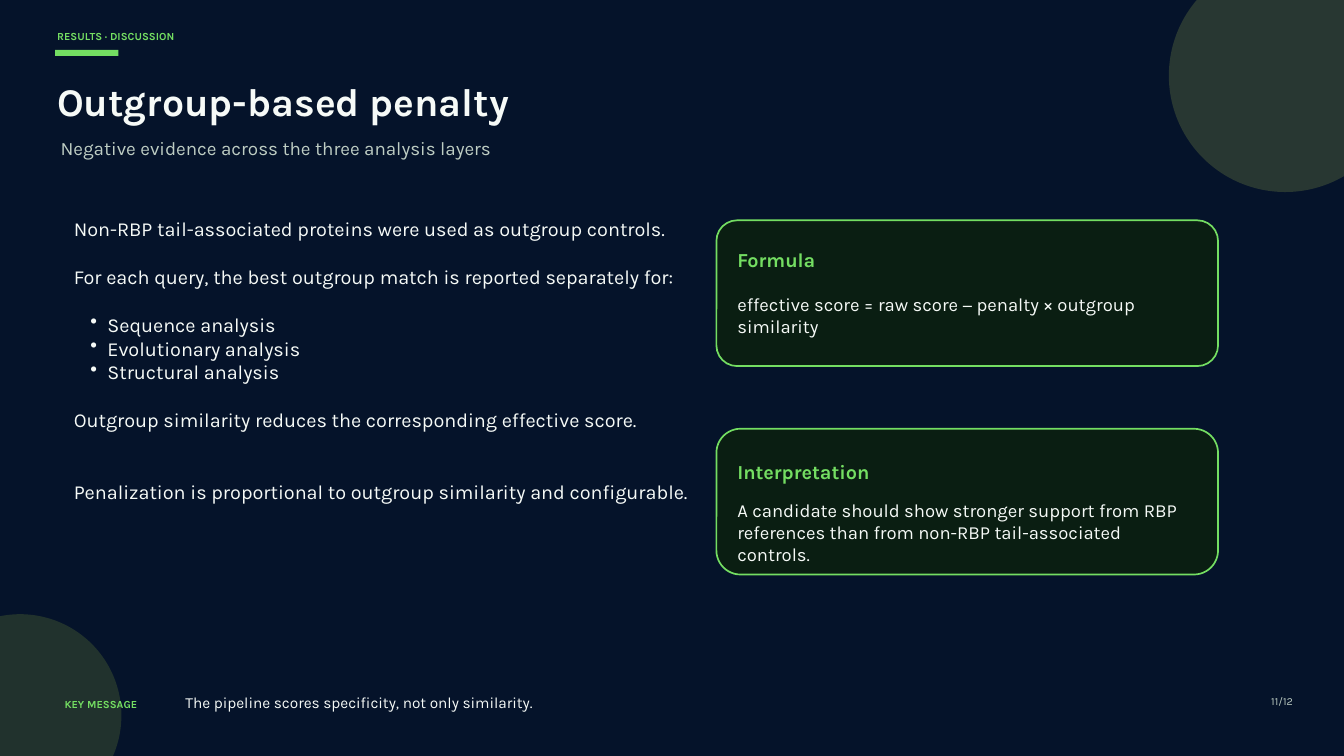
from dataclasses import dataclass

from lxml import etree
from pptx import Presentation
from pptx import util as u
from pptx.dml.color import RGBColor
from pptx.enum import shapes, text
from pptx.oxml.ns import qn


@dataclass(frozen=True)
class Theme:
    font: str = "Karla"
    background: str = "05132A"
    accent: str = "74DE62"
    light: str = "F6FAF7"
    muted: str = "BECDC3"
    card: str = "0A1E12"
    circle_top: str = "283732"
    circle_bottom: str = "21322D"
    title: float = 42
    body: float = 21.3
    subtitle: float = 20.2
    card_body: float = 19.8
    message: float = 16.5
    label: float = 11.6
    leading: float = 1.2  # line pitch as a multiple of the type size


THEME = Theme()


@dataclass(frozen=True)
class Box:
    """Position and size in centimetres."""
    x: float
    y: float
    w: float
    h: float

    def emu(self) -> tuple:
        return tuple(u.Cm(v) for v in (self.x, self.y, self.w, self.h))


@dataclass(frozen=True)
class Line:
    text: str
    gap: int = 0  # empty lines above
    bullet: bool = False


@dataclass(frozen=True)
class Label:
    box: Box
    lines: tuple
    size: float
    color: str = THEME.light
    bold: bool = False
    align: text.PP_ALIGN = text.PP_ALIGN.LEFT


@dataclass(frozen=True)
class Card:
    y: float
    radius: float
    heading: str
    heading_y: float
    body: str
    body_y: float


def add_panel(slide, kind, box: Box, fill: str, outline: str = ""):
    sp = slide.shapes.add_shape(kind, *box.emu())
    sp.shadow.inherit = False
    sp.fill.solid()
    sp.fill.fore_color.rgb = RGBColor.from_string(fill)
    if outline:
        sp.line.color.rgb = RGBColor.from_string(outline)
        sp.line.width = u.Pt(1.8)
    else:
        sp.line.fill.background()
    return sp


def add_bullet(p) -> None:
    p.level = 1
    pPr = p._p.get_or_add_pPr()
    pPr.set("marL", str(u.Cm(1.27)))
    pPr.set("indent", str(-u.Cm(0.64)))
    etree.SubElement(pPr, qn("a:buChar")).set("char", "•")


def add_label(slide, label: Label) -> None:
    tf = slide.shapes.add_textbox(*label.box.emu()).text_frame
    tf.word_wrap = True
    tf.margin_left = tf.margin_right = tf.margin_top = tf.margin_bottom = 0
    pitch = label.size * THEME.leading
    for i, line in enumerate(label.lines):
        p = tf.add_paragraph() if i else tf.paragraphs[0]
        p.text = line.text
        if line.bullet:
            add_bullet(p)
        p.alignment = label.align
        p.line_spacing = u.Pt(pitch)
        if line.gap:
            p.space_before = u.Pt(pitch * line.gap)
        font = p.runs[0].font
        font.name = THEME.font
        font.size = u.Pt(label.size)
        font.bold = label.bold
        font.color.rgb = RGBColor.from_string(label.color)


def add_card(slide, card: Card) -> None:
    box = Box(27.08, card.y, 18.96, 5.51)
    sp = add_panel(slide, shapes.MSO_SHAPE.ROUNDED_RECTANGLE, box, THEME.card, THEME.accent)
    sp.adjustments[0] = card.radius / box.h
    add_label(slide, Label(Box(27.87, card.heading_y, 17.4, 0.9), (Line(card.heading),),
                           THEME.body, THEME.accent, True))
    add_label(slide, Label(Box(27.87, card.body_y, 17.4, 1.65), (Line(card.body),),
                           THEME.card_body))


BODY = (
    Line("Non-RBP tail-associated proteins were used as outgroup controls."),
    Line("For each query, the best outgroup match is reported separately for:", 1),
    Line("Sequence analysis", 1, True),
    Line("Evolutionary analysis", 0, True),
    Line("Structural analysis", 0, True),
    Line("Outgroup similarity reduces the corresponding effective score.", 1),
    Line("Penalization is proportional to outgroup similarity and configurable.", 2),
)

LABELS = (
    # Header
    Label(Box(2.16, 1.12, 17, 0.66), (Line("RESULTS · DISCUSSION"),),
          THEME.label, THEME.accent, True),
    Label(Box(2.16, 2.92, 41, 2.11), (Line("Outgroup-based penalty"),), THEME.title, bold=True),
    Label(Box(2.29, 5.16, 42.5, 1.7),
          (Line("Negative evidence across the three analysis layers"),),
          THEME.subtitle, THEME.muted),
    # Body
    Label(Box(2.79, 8.2, 24.03, 11.68), BODY, THEME.body),
    # Footer
    Label(Box(2.44, 26.39, 5.38, 0.61), (Line("KEY MESSAGE"),),
          THEME.label, THEME.accent, True),
    Label(Box(7.01, 26.19, 38, 1.04),
          (Line("The pipeline scores specificity, not only similarity."),), THEME.message),
    Label(Box(46.36, 26.26, 2.51, 0.58), (Line("11/12"),),
          THEME.label, THEME.muted, align=text.PP_ALIGN.RIGHT),
)

CARDS = (
    Card(8.33, 0.78, "Formula", 9.35,
         "effective score = raw score − penalty × outgroup similarity", 11.07),
    Card(16.21, 0.91, "Interpretation", 17.37,
         "A candidate should show stronger support from RBP references "
         "than from non-RBP tail-associated controls.", 18.87),
)


def main() -> None:
    prs = Presentation()
    prs.slide_width, prs.slide_height = u.Cm(50.8), u.Cm(28.58)
    s = prs.slides.add_slide(prs.slide_layouts[6])
    s.background.fill.solid()
    s.background.fill.fore_color.rgb = RGBColor.from_string(THEME.background)

    # Corner circles and accent bar
    oval = shapes.MSO_SHAPE.OVAL
    add_panel(s, oval, Box(44.18, -1.54, 8.8, 8.8), THEME.circle_top)
    add_panel(s, oval, Box(-3.07, 23.22, 7.66, 7.66), THEME.circle_bottom)
    add_panel(s, shapes.MSO_SHAPE.RECTANGLE, Box(2.08, 1.89, 2.4, 0.22), THEME.accent)

    # Cards and text
    for card in CARDS:
        add_card(s, card)
    for label in LABELS:
        add_label(s, label)

    prs.save("out.pptx")


if __name__ == "__main__":
    main()
